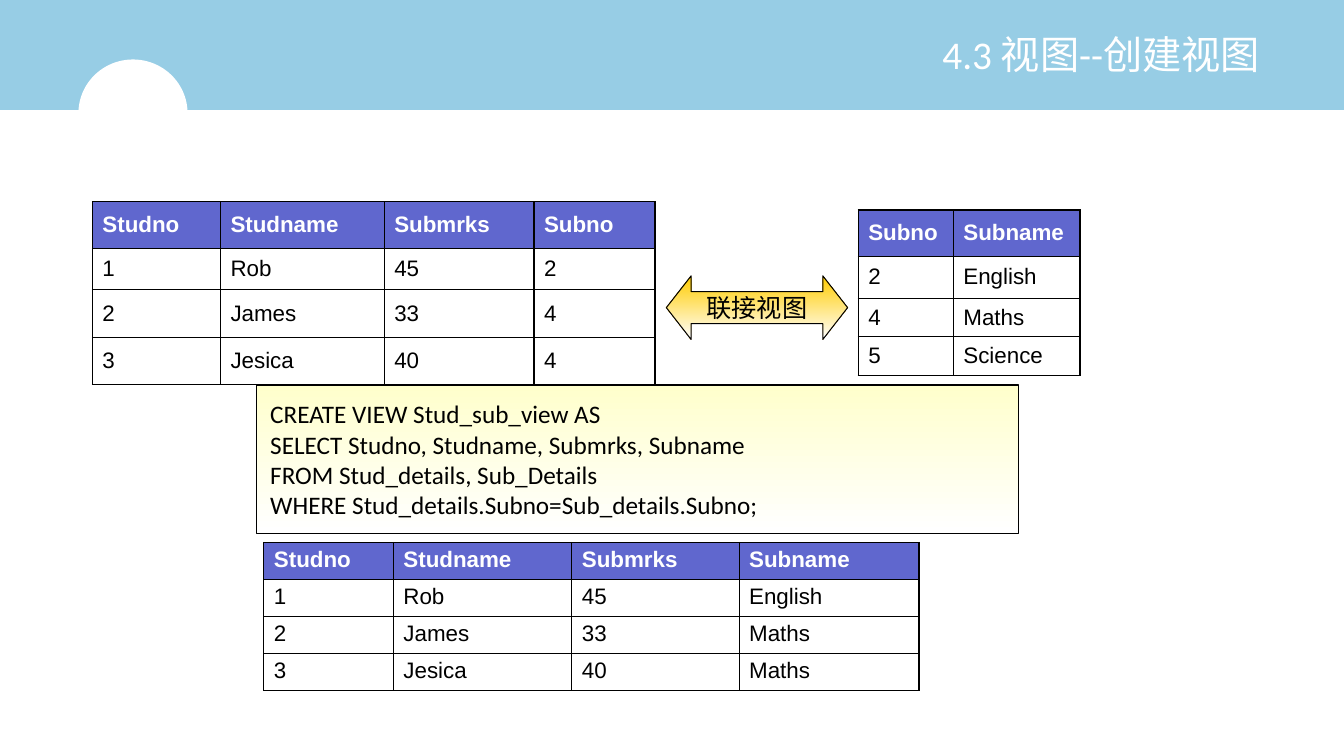
"""Build the slide on creating a join view from two tables."""
import pptx
import pptx.util
import pptx.dml.color
import pptx.enum.shapes
import pptx.enum.text
import pptx.oxml

Pt = pptx.util.Pt
MIDDLE = pptx.enum.text.MSO_ANCHOR.MIDDLE
TOP = pptx.enum.text.MSO_ANCHOR.TOP
ALIGN = pptx.enum.text.PP_ALIGN
SHAPE = pptx.enum.shapes.MSO_SHAPE
COLORS = {
    "band": "97CDE5",
    "header": "6067CE",
    "white": "FFFFFF",
    "black": "000000",
    "gold": "FFCC00",
    "cream": "FFFFCC",
}
RGB = {name: pptx.dml.color.RGBColor.from_string(value) for name, value in COLORS.items()}


def add_text(paragraph, text, size, font, color, bold=False):
    run = paragraph.add_run()
    run.text = text
    run.font.size = Pt(size)
    run.font.name = font
    run.font.bold = bold
    run.font.color.rgb = RGB[color]


def add_panel(kind, left, top, width, height, start_color):
    panel = slide.shapes.add_shape(kind, Pt(left), Pt(top), Pt(width), Pt(height))
    panel.shadow.inherit = False
    panel.fill.gradient()
    panel.fill.gradient_angle = 270
    for stop, color in zip(panel.fill.gradient_stops, (start_color, "white")):
        stop.color.rgb = RGB[color]
    panel.line.color.rgb = RGB["black"]
    panel.line.width = Pt(0.75)
    panel.text_frame.vertical_anchor = MIDDLE
    return panel


presentation = pptx.Presentation()
presentation.slide_width = Pt(960)
presentation.slide_height = Pt(540)
slide = presentation.slides.add_slide(presentation.slide_layouts[5])

title = slide.shapes.title
title.left, title.top, title.width, title.height = Pt(565), Pt(0.5), Pt(342), Pt(80)
title.text_frame.vertical_anchor = MIDDLE
heading = title.text_frame.paragraphs[0]
heading.alignment = ALIGN.RIGHT
heading.line_spacing = 0.9
add_text(heading, "4.3 视图--创建视图", 28, "Calibri", "white")

for kind, left, top, width, height, color in (
    (SHAPE.RECTANGLE, 0, 0, 960, 78.5, "band"),
    (SHAPE.OVAL, 56, 42.5, 78, 77, "white"),
):
    shape = slide.shapes.add_shape(kind, Pt(left), Pt(top), Pt(width), Pt(height))
    shape.shadow.inherit = False
    shape.fill.solid()
    shape.fill.fore_color.rgb = RGB[color]
    shape.line.fill.background()
    title.element.addprevious(shape.element)

arrow = add_panel(SHAPE.LEFT_RIGHT_ARROW, 476, 197, 129.5, 45.5, "gold")
arrow.adjustments[0] = 0.5
arrow.adjustments[1] = 0.39
arrow.text_frame.word_wrap = False
label = arrow.text_frame.paragraphs[0]
label.alignment = ALIGN.CENTER
add_text(label, "联接视图", 18, "Calibri", "black")

query = add_panel(SHAPE.RECTANGLE, 183, 275, 544.5, 106, "cream")
frame = query.text_frame
frame.word_wrap = True
frame.margin_left = frame.margin_right = Pt(10)
frame.margin_top = frame.margin_bottom = Pt(9.4)
query_lines = (
    "CREATE VIEW Stud_sub_view AS",
    "SELECT Studno, Studname, Submrks, Subname",
    "FROM Stud_details, Sub_Details",
    "WHERE Stud_details.Subno=Sub_details.Subno;",
)
for index, line in enumerate(query_lines):
    paragraph = frame.add_paragraph() if index else frame.paragraphs[0]
    paragraph.alignment = ALIGN.LEFT
    add_text(paragraph, line, 18, "Calibri", "black")

student_rows = ("Studno Studname Submrks Subno", "1 Rob 45 2", "2 James 33 4", "3 Jesica 40 4")
subject_rows = ("Subno Subname", "2 English", "4 Maths", "5 Science")
view_rows = (
    "Studno Studname Submrks Subname", "1 Rob 45 English", "2 James 33 Maths", "3 Jesica 40 Maths",
)
tables = (
    (66, 144, (91.5, 117, 107, 86.5), (33.5, 29.5, 34, 34), MIDDLE, student_rows),
    (613, 150, (68, 90.5), (33, 30, 27.5, 28), MIDDLE, subject_rows),
    (188.5, 387.5, (92.5, 127.5, 119.5, 128.5), (26.5,) * 4, TOP, view_rows),
)
for left, top, widths, heights, anchor, rows in tables:
    graphic = slide.shapes.add_table(
        len(rows), len(widths), Pt(left), Pt(top), Pt(sum(widths)), Pt(sum(heights))
    )
    table = graphic.table
    for column, width in zip(table.columns, widths):
        column.width = Pt(width)
    for row_index, (row, height, values) in enumerate(zip(table.rows, heights, rows)):
        row.height = Pt(height)
        is_header = row_index == 0
        for cell, value in zip(row.cells, values.split()):
            cell.vertical_anchor = anchor
            text_color = "white" if is_header else "black"
            add_text(cell.text_frame.paragraphs[0], value, 16, "Arial", text_color, is_header)
            properties = cell._tc.get_or_add_tcPr()
            for side in ("lnL", "lnR", "lnT", "lnB"):
                properties.append(pptx.oxml.parse_xml(
                    f'<a:{side} xmlns:a="http://schemas.openxmlformats.org/drawingml/2006/main" w="12700">'
                    f'<a:solidFill><a:srgbClr val="{COLORS["black"]}"/></a:solidFill></a:{side}>'
                ))
            if is_header:
                cell.fill.solid()
                cell.fill.fore_color.rgb = RGB["header"]
            else:
                cell.fill.background()

presentation.save("out.pptx")
